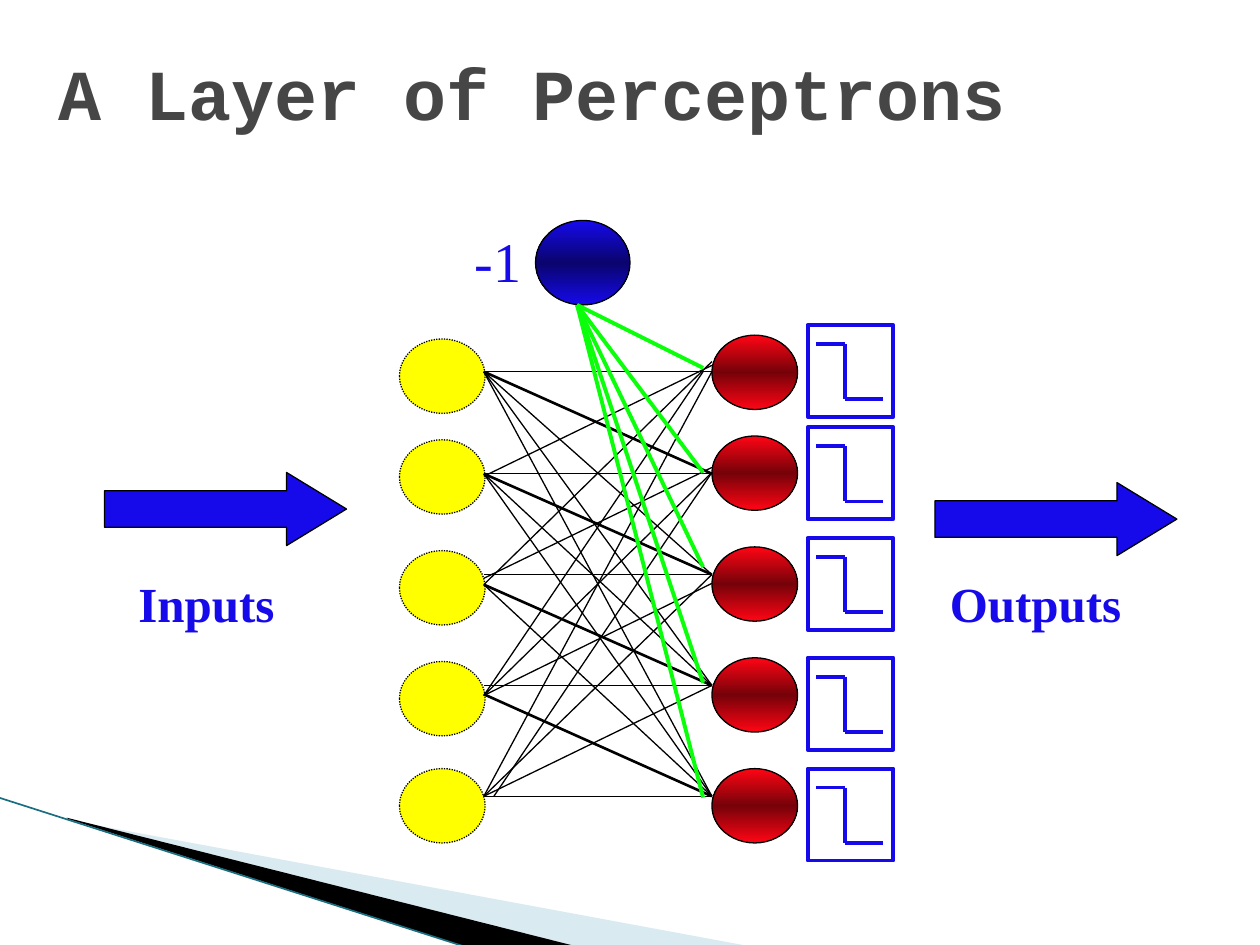
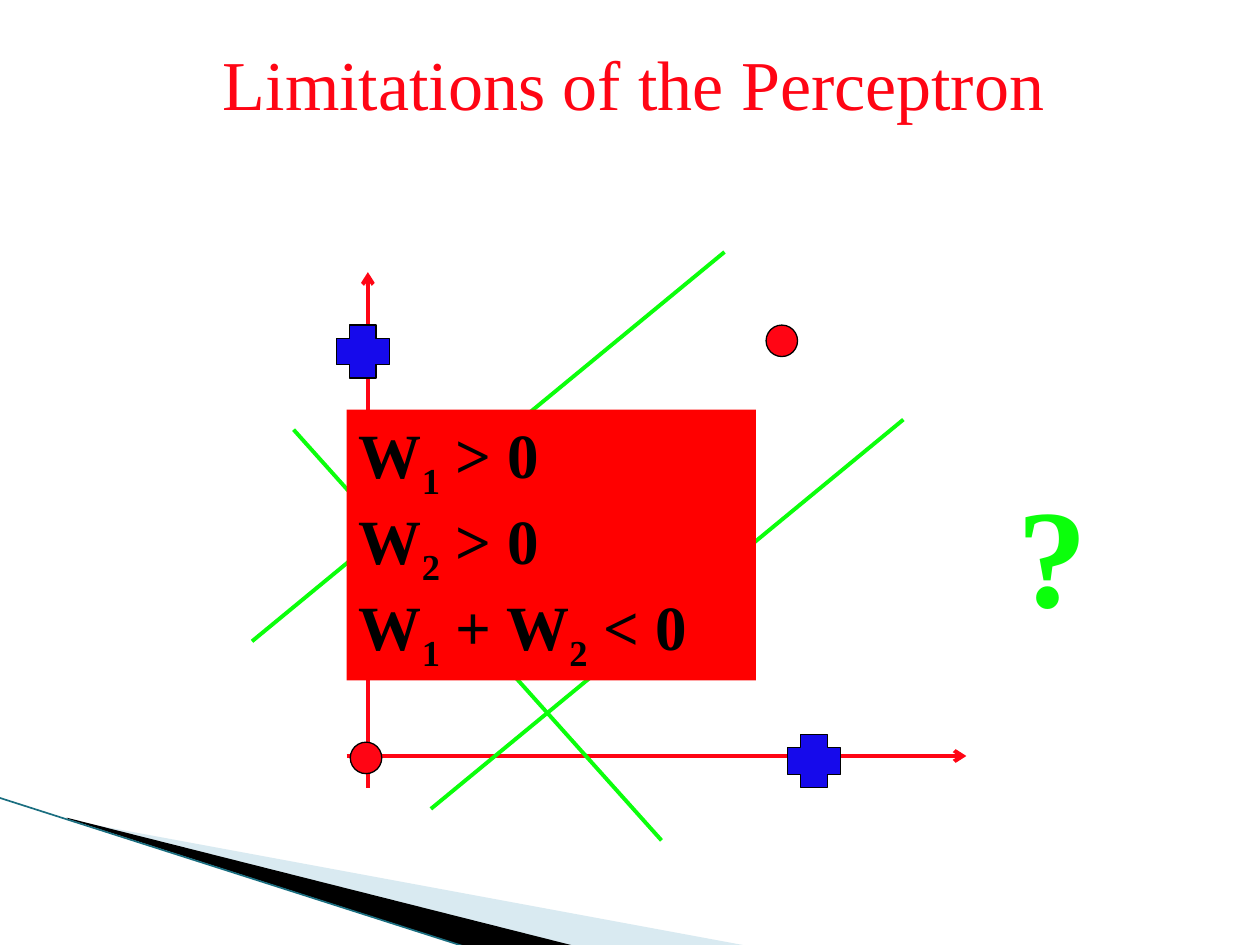
from dataclasses import dataclass
from itertools import combinations, pairwise
from typing import NamedTuple

from pptx import Presentation
from pptx.dml.color import RGBColor
from pptx.enum.dml import MSO_LINE
from pptx.enum.shapes import MSO_CONNECTOR, MSO_SHAPE
from pptx.enum.text import MSO_ANCHOR, MSO_AUTO_SIZE, PP_ALIGN
from pptx.oxml import parse_xml
from pptx.oxml.ns import nsdecls, qn
from pptx.util import Cm, Length, Pt

STRAIGHT = MSO_CONNECTOR.STRAIGHT
OVAL, CROSS = MSO_SHAPE.OVAL, MSO_SHAPE.CROSS
RECTANGLE, RIGHT_ARROW = MSO_SHAPE.RECTANGLE, MSO_SHAPE.RIGHT_ARROW
DOTTED = MSO_LINE.ROUND_DOT
TOP, MIDDLE = MSO_ANCHOR.TOP, MSO_ANCHOR.MIDDLE
LEFT, CENTER = PP_ALIGN.LEFT, PP_ALIGN.CENTER
GROW, FIXED = MSO_AUTO_SIZE.SHAPE_TO_FIT_TEXT, MSO_AUTO_SIZE.NONE

COLORS = {
    "blue": "160AEB",
    "navy": "0A046C",
    "red": "FF0514",
    "maroon": "750209",
    "panel": "FF0000",
    "yellow": "FFFF00",
    "green": "0BFF0B",
    "black": "000000",
    "gray": "464646",
    "pale": "A0CBDC",
    "teal": "1A6E80",
}
SERIF, MONO = "Times New Roman", "Courier New"
THIN, BOLD, THICK = 0.74, 1.5, 2.24
CM_PER_INCH = 2.54


class Point(NamedTuple):
    x: float
    y: float


class Box(NamedTuple):
    left: float
    top: float
    width: float
    height: float


class Run(NamedTuple):
    text: str
    subscript: bool = False


@dataclass(frozen=True)
class TextStyle:
    size: float
    color: str
    font: str = SERIF
    bold: bool = False
    align: PP_ALIGN = LEFT
    anchor: MSO_ANCHOR = TOP
    fit: MSO_AUTO_SIZE = GROW


@dataclass(frozen=True)
class Label:
    text: str
    box: Box
    style: TextStyle


@dataclass(frozen=True)
class Band:
    points: tuple[Point, ...]
    color: str
    opacity: int = 100


BANDS = (
    Band((Point(0.55, 6.51), Point(5.95, 7.51), Point(4.56, 7.51), Point(0.55, 6.5)), "pale", 40),
    Band((Point(0.53, 6.49), Point(4.57, 7.51), Point(3.72, 7.52), Point(0.54, 6.5)), "black"),
)


def length(inches: float) -> Length:
    return Cm(inches * CM_PER_INCH)


def rgb(color: str) -> RGBColor:
    return RGBColor.from_string(COLORS[color])


def apply(target, values: dict) -> None:
    for name, value in values.items():
        setattr(target, name, value)


def paint(shape, color: str) -> None:
    shape.fill.solid()
    shape.fill.fore_color.rgb = rgb(color)


def draw_line(shapes, start: Point, end: Point, color: str, width: float, arrow: bool = False) -> None:
    line = shapes.add_connector(STRAIGHT, *map(length, (*start, *end)))
    line.line.color.rgb = rgb(color)
    line.line.width = Pt(width)
    properties = line.element.spPr
    if arrow:
        properties.find(qn("a:ln")).append(parse_xml(f'<a:tailEnd {nsdecls("a")} type="arrow"/>'))
    properties.append(parse_xml(f'<a:effectLst {nsdecls("a")}/>'))


def draw_shape(shapes, kind: MSO_SHAPE, box: Box, fill: str = "", outline: str = "black", width: float = THIN):
    shape = shapes.add_shape(kind, *map(length, box))
    shape.shadow.inherit = False
    if fill:
        paint(shape, fill)
    else:
        shape.fill.background()
    if outline:
        shape.line.color.rgb = rgb(outline)
        shape.line.width = Pt(width)
    else:
        shape.line.fill.background()
    return shape


def shade(shape, edge: str, middle: str) -> None:
    stops = "".join(
        f'<a:gs pos="{position}"><a:srgbClr val="{COLORS[color]}"/></a:gs>'
        for position, color in ((0, edge), (50000, middle), (100000, edge))
    )
    properties = shape.element.spPr
    properties.remove(properties.find(qn("a:solidFill")))
    properties.find(qn("a:prstGeom")).addnext(
        parse_xml(
            f'<a:gradFill {nsdecls("a")} rotWithShape="1"><a:gsLst>{stops}</a:gsLst>'
            '<a:lin ang="5400000" scaled="0"/></a:gradFill>'
        )
    )


def write(shape, lines: tuple[tuple[Run, ...], ...], style: TextStyle) -> None:
    frame = shape.text_frame
    apply(frame, {
        "word_wrap": True,
        "auto_size": style.fit,
        "vertical_anchor": style.anchor,
        "margin_left": length(0.1),
        "margin_right": length(0.1),
        "margin_top": length(0.05),
        "margin_bottom": length(0.05),
    })
    for index, line in enumerate(lines):
        paragraph = frame.add_paragraph() if index else frame.paragraphs[0]
        paragraph.alignment = style.align
        for part in line:
            run = paragraph.add_run()
            run.text = part.text
            apply(run.font, {"name": style.font, "size": Pt(style.size), "bold": style.bold})
            run.font.color.rgb = rgb(style.color)
            if part.subscript:
                run.font._element.set("baseline", "-25000")


def draw_label(shapes, label: Label) -> None:
    write(shapes.add_textbox(*map(length, label.box)), ((Run(label.text),),), label.style)


def draw_band(shapes, band: Band) -> None:
    start, *rest = [tuple(map(length, point)) for point in band.points]
    builder = shapes.build_freeform(*start)
    builder.add_line_segments(rest, close=True)
    shape = builder.convert_to_shape()
    shape.shadow.inherit = False
    paint(shape, band.color)
    shape.line.fill.background()
    if band.opacity < 100:
        color = shape.element.spPr.find(qn("a:solidFill"))[0]
        color.append(parse_xml(f'<a:alpha {nsdecls("a")} val="{band.opacity * 1000}"/>'))


def add_slide(presentation):
    shapes = presentation.slides.add_slide(presentation.slide_layouts[6]).shapes
    for band in BANDS:
        draw_band(shapes, band)
    draw_line(shapes, Point(-0.01, 6.33), Point(3.71, 7.52), "teal", 0.95)
    return shapes


def draw_weights(shapes) -> None:
    input_x, output_x = 3.84, 5.65
    input_ports = (2.95, 3.76, 4.64, 5.51, 6.32)
    output_ports = (2.95, 3.76, 4.56, 5.44, 6.32)
    for source, target in combinations(range(5), 2):
        weight = BOLD if target == source + 1 else THIN
        draw_line(shapes, Point(input_x, input_ports[source]),
                  Point(output_x, output_ports[target]), "black", weight)
    for y in output_ports:
        draw_line(shapes, Point(input_x, y), Point(output_x, y), "black", THIN)
    rising = (
        (6.32, 5.44), (5.52, 4.63), (4.59, 3.71), (3.78, 2.9), (6.32, 4.56),
        (5.52, 3.75), (4.64, 2.87), (6.32, 2.95),
    )
    for source_y, target_y in rising:
        draw_line(shapes, Point(input_x, source_y), Point(output_x, target_y), "black", THIN)
    draw_line(shapes, Point(3.92, 6.32), Point(output_x, 3.75), "black", THIN)
    draw_line(shapes, Point(input_x, 5.52), Point(5.58, 2.95), "black", THIN)


def draw_threshold(shapes, left: float, top: float) -> None:
    group = shapes.add_group_shape().shapes
    steps = ((0.07, 0.15), (0.3, 0.15), (0.3, 0.59), (0.6, 0.59))
    corners = [Point(left + dx, top + dy) for dx, dy in steps]
    for start, end in pairwise(corners):
        draw_line(group, start, end, "blue", THICK)
    draw_shape(group, RECTANGLE, Box(left, top, 0.68, 0.73), outline="blue", width=THICK)


def build_layer(presentation) -> None:
    shapes = add_slide(presentation)
    title = TextStyle(41, "gray", MONO, bold=True, anchor=MIDDLE, fit=FIXED)
    caption = TextStyle(28, "blue", bold=True)
    draw_label(shapes, Label("A Layer of Perceptrons", Box(0.37, 0.33, 8.5, 0.79), title))
    for left, top in ((0.83, 3.75), (7.42, 3.83)):
        flow = draw_shape(shapes, RIGHT_ARROW, Box(left, top, 1.92, 0.58), "blue")
        flow.adjustments[0], flow.adjustments[1] = 0.5, 0.82
    draw_label(shapes, Label("Inputs", Box(1, 4.5, 1.48, 0.57), caption))
    draw_label(shapes, Label("Outputs", Box(7.44, 4.5, 1.64, 0.57), caption))
    for top in (2.69, 3.49, 4.37, 5.25, 6.1):
        input_node = draw_shape(shapes, OVAL, Box(3.17, top, 0.68, 0.59), "yellow")
        input_node.line.dash_style = DOTTED
    for top in (2.66, 3.46, 4.34, 5.22, 6.1):
        shade(draw_shape(shapes, OVAL, Box(5.65, top, 0.68, 0.59), "red"), "red", "maroon")
    draw_weights(shapes)
    for top in (2.58, 3.39, 4.27, 5.22, 6.1):
        draw_threshold(shapes, 6.41, top)
    shade(draw_shape(shapes, OVAL, Box(4.25, 1.75, 0.75, 0.67), "blue"), "blue", "navy")
    bias_links = shapes.add_group_shape().shapes
    for y in (2.92, 3.75, 4.5, 5.42, 6.33):
        draw_line(bias_links, Point(4.58, 2.42), Point(5.58, y), "green", THICK)
    draw_label(shapes, Label("-1", Box(3.67, 1.75, 0.75, 0.64), TextStyle(32, "blue")))


def build_limitations(presentation) -> None:
    shapes = add_slide(presentation)
    for start, end in ((Point(2.92, 6.25), Point(2.92, 2.16)), (Point(2.75, 6), Point(7.67, 6))):
        draw_line(shapes, start, end, "red", THICK, arrow=True)
    for left, top in ((2.67, 2.58), (6.25, 5.83)):
        draw_shape(shapes, CROSS, Box(left, top, 0.42, 0.42), "blue")
    for left, top in ((2.78, 5.89), (6.08, 2.58)):
        draw_shape(shapes, OVAL, Box(left, top, 0.25, 0.25), "red")
    title = TextStyle(40, "red", align=CENTER, anchor=MIDDLE, fit=FIXED)
    draw_label(shapes, Label("Limitations of the Perceptron", Box(0.78, 0.03, 8.5, 1.25), title))
    boundaries = (
        (Point(2, 5.09), Point(5.75, 2)),
        (Point(3.42, 6.42), Point(7.17, 3.33)),
        (Point(5.25, 6.67), Point(2.33, 3.41)),
    )
    for start, end in boundaries:
        draw_line(shapes, start, end, "green", THICK)
    draw_label(shapes, Label("?", Box(7.98, 3.66, 1.27, 1.44), TextStyle(80, "green", bold=True)))
    conditions = draw_shape(shapes, RECTANGLE, Box(2.75, 3.25, 3.25, 2.15), "panel", outline="")
    one, two = Run("1", True), Run("2", True)
    write(conditions, (
        (Run("W"), one, Run(" > 0")),
        (Run("W"), two, Run(" > 0")),
        (Run("W"), one, Run(" + W"), two, Run(" < 0")),
    ), TextStyle(36, "black", bold=True))


def main() -> None:
    presentation = Presentation()
    apply(presentation, {"slide_width": length(10), "slide_height": length(7.5)})
    build_layer(presentation)
    build_limitations(presentation)
    presentation.save("out.pptx")


main()
